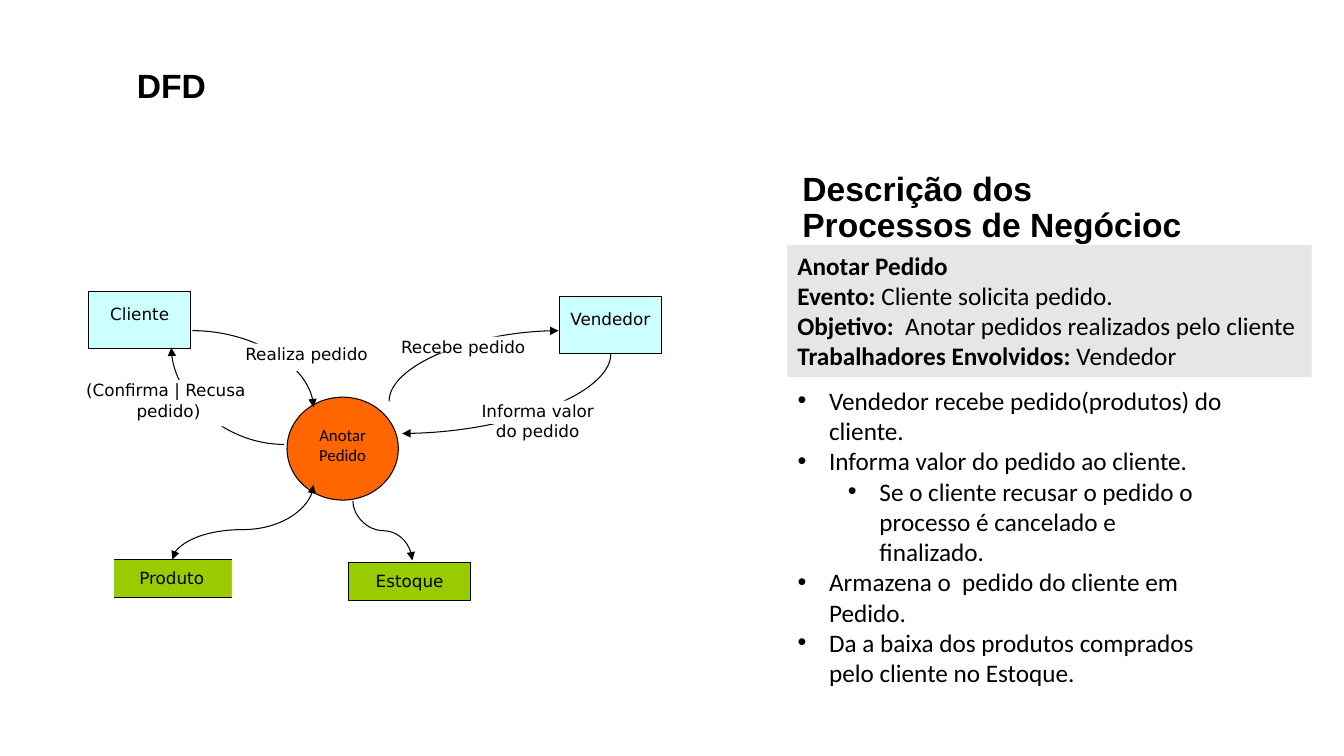
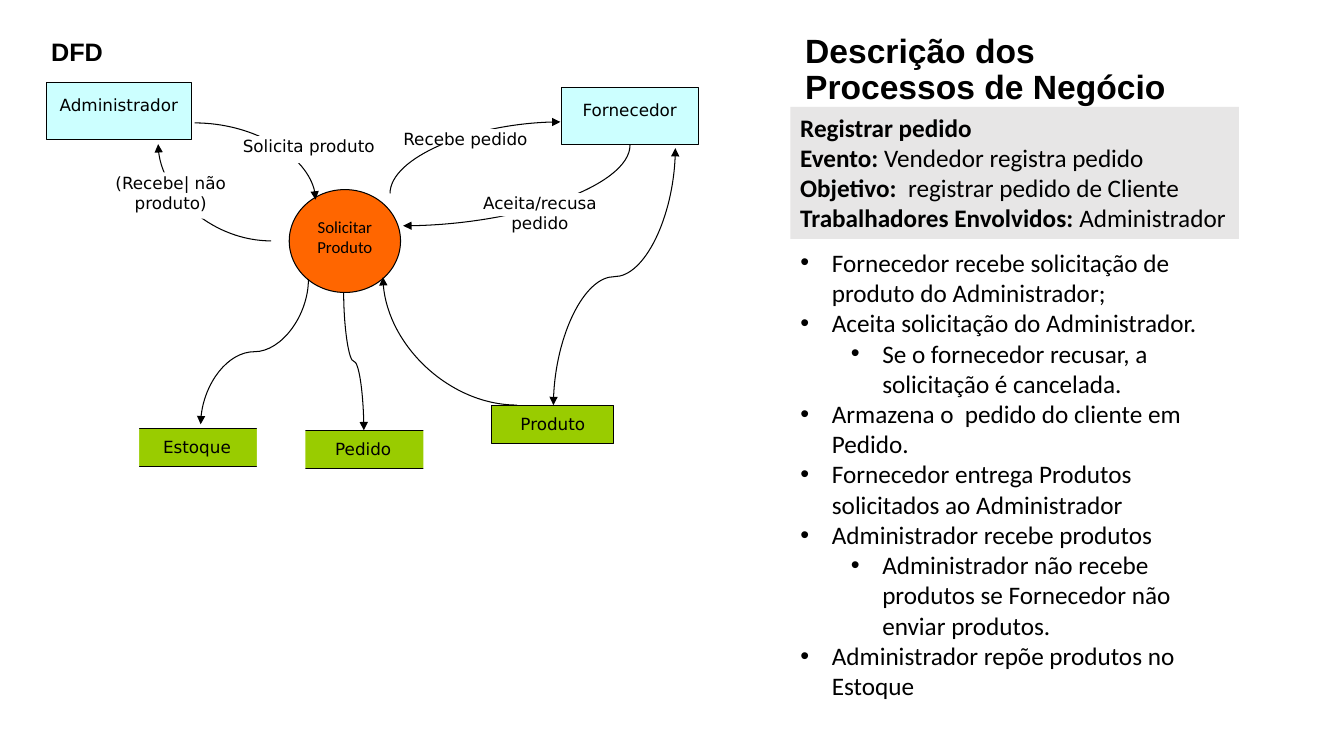
"""Builds two data-flow slides, each with its business process description."""
from dataclasses import dataclass

from pptx import Presentation
from pptx import util as u
from pptx.dml.color import RGBColor
from pptx.enum import shapes, text
from pptx.oxml.ns import qn
from lxml import etree


@dataclass(frozen=True)
class Theme:
    ink: str = "000000"
    paper: str = "FFFFFF"
    process: str = "FF6600"
    entity: str = "CCFFFF"
    store: str = "99CC00"
    panel: str = "E7E6E6"
    head: str = "Arial"
    body: str = "Calibri"
    label: str = "DejaVu Sans"
    title_size: int = 24
    body_size: int = 18
    label_size: int = 12
    line: float = 0.75


T = Theme()
SIZE = (960, 540)
PROCESS_SIZE = (79.5, 73.5)
ENTITY_H = 41
STORE_SIZE = (87, 27.5)
LABEL_SLOTS = {
    "in": (-59.8, -38.2, 147.6, 19.4, True),
    "back": (-137.5, -12.2, 105.8, 33.1, False),
    "reply": (133, 2.5, 92.2, 16.6, True),
    "out": (62.6, -43.2, 126.7, 11.5, False),
}

SLIDES = [
    dict(
        heading=("DFD", 90.7, 42.5, 64, 36, T.title_size),
        process=("Anotar Pedido", 205, 283.7),
        entities=[("Cliente", 63.4, 208.1, 72.7), ("Vendedor", 399.6, 211.7, 72.7)],
        stores=[("Produto", 79.2, 399.6, True), ("Estoque", 249.1, 401.8, False)],
        flows=[
            ((123.1, 399.6), (223.9, 346.3), "v3", 40000, True),
            ((137.5, 236.2), (223.9, 290.9), "h2", "in", ["Realiza pedido"]),
            ((252, 357.8), (294.5, 400.3), "v3", 50000, False),
            ((203, 317.5), (122.4, 248.4), "h2", "back", ["(Confirma | Recusa ", "pedido)"]),
            ((436.3, 252.7), (287.3, 309.6), "v2", "reply", ["Informa valor do pedido"]),
            ((277.9, 286.6), (398.9, 236.2), "v2", "out", ["Recebe pedido"]),
        ],
        column=(562.5, 175),
        title="Descrição dos\nProcessos de Negócioc",
        panel_w=374.4,
        facts=[("Anotar Pedido", ""), ("Evento: ", "Cliente solicita pedido."),
               ("Objetivo:  ", "Anotar pedidos realizados pelo cliente"),
               ("Trabalhadores Envolvidos: ", "Vendedor")],
        steps=[(0, "Vendedor recebe pedido(produtos) do cliente."),
               (0, "Informa valor do pedido ao cliente."),
               (1, "Se o cliente recusar o pedido o processo é cancelado e finalizado."),
               (0, "Armazena o  pedido do cliente em Pedido."),
               (0, "Da a baixa dos produtos comprados pelo cliente no Estoque.")],
        steps_h=247,
    ),
    dict(
        heading=("DFD", 29.5, 22.3, 52, 29, T.body_size),
        process=("Solicitar\nProduto", 206.6, 135.4),
        entities=[("Administrador", 33.1, 59, 103.7), ("Fornecedor", 401, 62.6, 97.9)],
        stores=[("Produto", 351.4, 289.4, False), ("Estoque", 97.2, 306, True),
                ("Pedido", 216, 307.4, True)],
        flows=[
            ((395.3, 289.4), (482.4, 105.8), "v3", 50000, True),
            ((139, 87.8), (225.4, 142.6), "h2", "in", ["Solicita produto"]),
            ((193.7, 172.1), (113, 103), "h2", "back", ["(Recebe| não", "produto)"]),
            ((450, 103.7), (288, 161.3), "v2", "reply", ["Aceita/recusa pedido"]),
            ((278.6, 138.2), (400.3, 87.1), "v2", "out", ["Recebe pedido"]),
            ((220.3, 199.4), (143.3, 303.1), "v3", 50000, False),
            ((369.4, 289.4), (273.6, 198), "h2", None, []),
            ((245.5, 208.8), (259.9, 307.4), "v3", 50000, False),
        ],
        column=(564.5, 76.4),
        title="Descrição dos\nProcessos de Negócio",
        panel_w=320.4,
        facts=[("Registrar pedido", ""), ("Evento: ", "Vendedor registra pedido"),
               ("Objetivo:  ", "registrar pedido de Cliente"),
               ("Trabalhadores Envolvidos: ", "Administrador")],
        steps=[(0, "Fornecedor recebe solicitação de produto do Administrador;"),
               (0, "Aceita solicitação do Administrador."),
               (1, "Se o fornecedor recusar, a solicitação é cancelada."),
               (0, "Armazena o  pedido do cliente em Pedido."),
               (0, "Fornecedor entrega Produtos solicitados ao Administrador"),
               (0, "Administrador recebe produtos"),
               (1, "Administrador não recebe produtos se Fornecedor não enviar produtos."),
               (0, "Administrador repõe produtos no Estoque")],
        steps_h=367,
    ),
]


def pts(*values):
    return [u.Pt(v) for v in values]


def rgb(value):
    return RGBColor.from_string(value)


def write(p, words, font, size, bold=False):
    for i, line in enumerate(words.split("\n")):
        if i:
            p.add_line_break()
        r = p.add_run()
        r.text = line
        r.font.name, r.font.size, r.font.bold = font, u.Pt(size), bold
        r.font.color.rgb = rgb(T.ink)


def paragraphs(tf, items):
    for i, item in enumerate(items):
        yield (tf.add_paragraph() if i else tf.paragraphs[0]), item


def place(sp, x, y, w, h):
    sp.left, sp.top, sp.width, sp.height = pts(x, y, w, h)


def frame(sp, insets=None, wrap=True, anchor=text.MSO_ANCHOR.TOP):
    tf = sp.text_frame
    tf.word_wrap, tf.vertical_anchor, tf.auto_size = wrap, anchor, text.MSO_AUTO_SIZE.NONE
    if insets:
        tf.margin_left, tf.margin_top, tf.margin_right, tf.margin_bottom = pts(*insets)
    return tf


def block(s, kind, box, fill, lined=False):
    sp = s.shapes.add_shape(kind, *pts(*box))
    sp.shadow.inherit = False
    sp.fill.solid()
    sp.fill.fore_color.rgb = rgb(fill)
    if lined:
        sp.line.color.rgb = rgb(T.ink)
        sp.line.width = u.Pt(T.line)
    else:
        sp.line.fill.background()
    return sp


def rect(s, box, fill, lined=False):
    return block(s, shapes.MSO_SHAPE.RECTANGLE, box, fill, lined)


def caption(sp, lines, insets, wrap=True, font=T.label, before=0):
    for p, line in paragraphs(frame(sp, insets, wrap), lines):
        p.alignment = text.PP_ALIGN.CENTER
        p.space_before = u.Pt(before)
        write(p, line, font, T.label_size)


def curve(s, start, end, route, bend=50000, both=False):
    (x1, y1), (x2, y2) = start, end
    dx, dy = x2 - x1, y2 - y1
    vertical = route[0] == "v"
    if vertical:
        cx, cy = (x1 + x2) / 2, (y1 + y2) / 2
        half_w, half_h = abs(dy) / 2, abs(dx) / 2
        if (dx > 0) == (dy > 0):
            half_w = -half_w
        x1, y1, x2, y2 = cx - half_w, cy - half_h, cx + half_w, cy + half_h
    c = s.shapes.add_connector(shapes.MSO_CONNECTOR.CURVE, *pts(x1, y1, x2, y2))
    c.line.color.rgb = rgb(T.ink)
    c.line.width = u.Pt(T.line)
    pr = c._element.spPr
    if vertical:
        pr.find(qn("a:xfrm")).set("rot", str((270 if dx > 0 else 90) * 60000))
    geom = pr.find(qn("a:prstGeom"))
    geom.set("prst", "curvedConnector" + route[1])
    if route[1] == "3":
        etree.SubElement(geom.find(qn("a:avLst")), qn("a:gd"), name="adj1", fmla=f"val {bend}")
    ln = pr.find(qn("a:ln"))
    for tip in ("headEnd", "tailEnd") if both else ("tailEnd",):
        etree.SubElement(ln, qn("a:" + tip), type="triangle")
    etree.SubElement(pr, qn("a:effectLst"))


def diagram(s, d):
    name, px, py = d["process"]
    sp = block(s, shapes.MSO_SHAPE.OVAL, (px, py, *PROCESS_SIZE), T.process, True)
    caption(sp, [name], (7.2, 8.6, 7.2, 3.6), font=T.body, before=2.4)
    for name, x, y, w in d["entities"]:
        sp = rect(s, (x, y, w, ENTITY_H), T.entity, True)
        caption(sp, [name], (7.2, 8.6, 7.2, 3.6))
    for name, x, y, open_sides in d["stores"]:
        sp = rect(s, (x, y, *STORE_SIZE), T.store, True)
        caption(sp, [name], (7.2, 5.8, 7.2, 3.6))
        if open_sides:
            for side in (x - 12.2, x + 86.4):
                rect(s, (side, y - 2.9, 14.4, 32.4), T.paper)
    for start, end, route, detail, extra in d["flows"]:
        if route[1] == "3":
            curve(s, start, end, route, detail, extra)
            continue
        curve(s, start, end, route)
        if detail:
            ox, oy, w, h, wrap = LABEL_SLOTS[detail]
            caption(rect(s, (px + ox, py + oy, w, h), T.paper), extra, (0, 0, 0, 0), wrap)


def description(s, d):
    x, y = d["column"]
    title, body = s.shapes.title, s.placeholders[1]

    place(title, x + 3.4, y - 67.7, 371.5, 71.3)
    p = frame(title, anchor=text.MSO_ANCHOR.BOTTOM).paragraphs[0]
    p.alignment, p.line_spacing = text.PP_ALIGN.LEFT, 0.9
    write(p, d["title"], T.head, T.title_size, True)

    panel = rect(s, (x, y, d["panel_w"], 94.3), T.panel)
    for p, (key, value) in paragraphs(frame(panel, wrap=False), d["facts"]):
        p.alignment = text.PP_ALIGN.LEFT
        write(p, key, T.body, T.body_size, True)
        if value:
            write(p, value, T.body, T.body_size)

    place(body, x, y + 96.5, 319.7, d["steps_h"])
    for p, (level, words) in paragraphs(frame(body), d["steps"]):
        p.level, p.space_before = level, u.Pt(0)
        pr = p._p.get_or_add_pPr()
        pr.set("marL", str(u.Pt(22.5 + 36 * level)))
        pr.set("indent", str(u.Pt(-22.5)))
        etree.SubElement(pr, qn("a:buFont"), typeface=T.head)
        etree.SubElement(pr, qn("a:buChar"), char="•")
        write(p, words, T.body, T.body_size)


def build(prs, d):
    s = prs.slides.add_slide(prs.slide_layouts[1])
    diagram(s, d)
    description(s, d)
    words, x, y, w, h, size = d["heading"]
    tf = frame(s.shapes.add_textbox(*pts(x, y, w, h)), wrap=False)
    write(tf.paragraphs[0], words, T.head, size, True)


prs = Presentation()
prs.slide_width, prs.slide_height = pts(*SIZE)
for content in SLIDES:
    build(prs, content)
prs.save("out.pptx")
